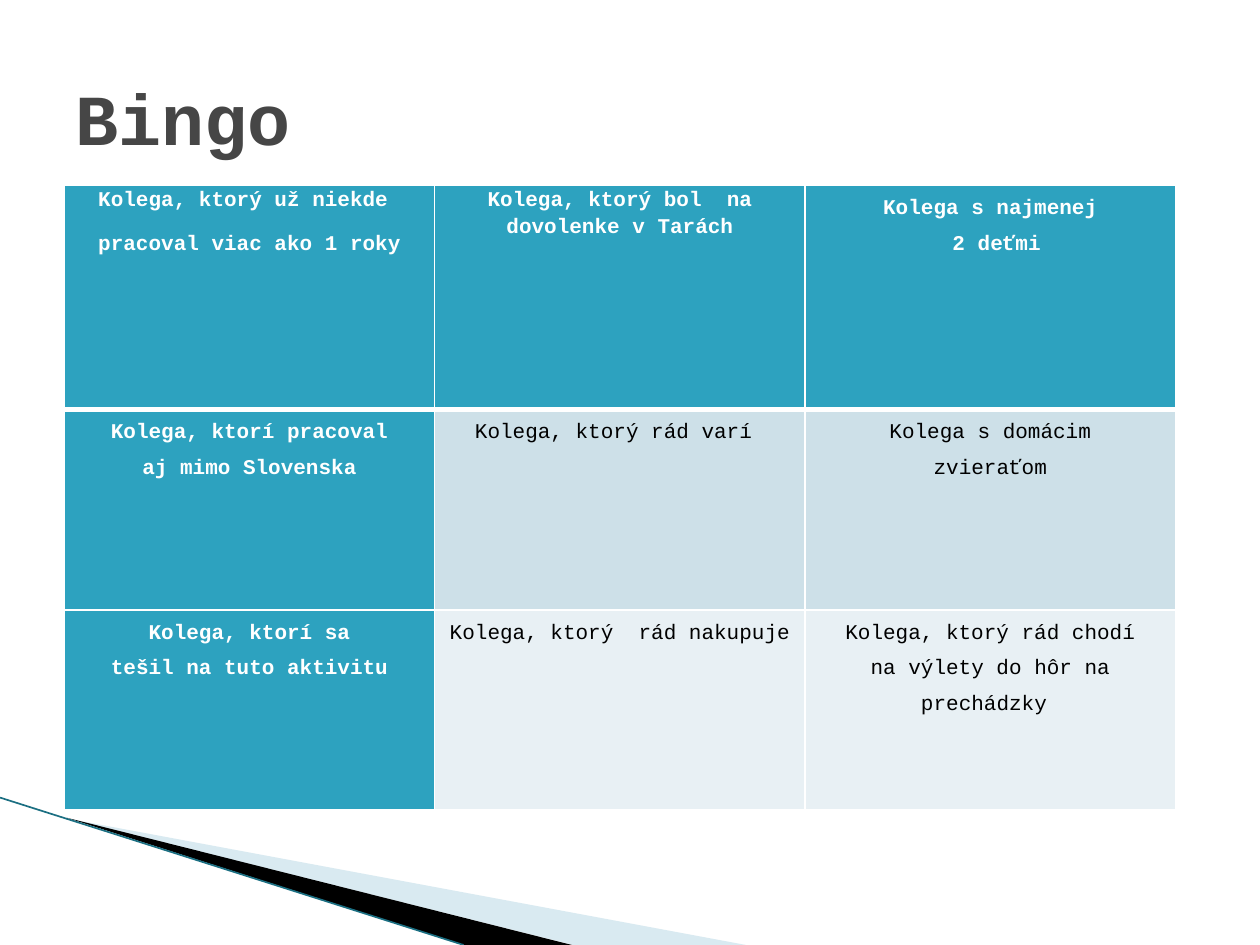
from dataclasses import dataclass

from lxml import etree
from pptx import Presentation
from pptx.dml.color import RGBColor
from pptx.enum.shapes import MSO_CONNECTOR
from pptx.enum.text import MSO_ANCHOR, PP_ALIGN
from pptx.oxml.ns import qn
from pptx.util import Inches, Pt

CENTER = PP_ALIGN.CENTER
LEFT = PP_ALIGN.LEFT
MIDDLE = MSO_ANCHOR.MIDDLE
STRAIGHT = MSO_CONNECTOR.STRAIGHT


@dataclass(frozen=True)
class Theme:
    font: str = "Courier New"
    title_size: float = 41
    cell_size: float = 12
    title: str = "464646"
    white: str = "FFFFFF"
    black: str = "000000"
    teal: str = "2DA2BF"
    dark_teal: str = "1B6F82"
    pale_blue: str = "A0CBDC"
    band_dark: str = "CDE0E8"
    band_light: str = "E8F0F4"


def rgb(color):
    return RGBColor.from_string(color)


def write_text(frame, lines, *, font, size, color, bold=False,
               align=LEFT, spacing=1.0, after=0):
    for index, line in enumerate(lines):
        paragraph = frame.paragraphs[0] if index == 0 else frame.add_paragraph()
        paragraph.alignment = align
        paragraph.line_spacing = spacing
        paragraph.space_after = Pt(after)
        run = paragraph.add_run()
        run.text = line
        run.font.name = font
        run.font.size = Pt(size)
        run.font.bold = bold
        run.font.color.rgb = rgb(color)


class SlideBuilder:
    def __init__(self, slide, theme):
        self.slide = slide
        self.theme = theme

    def wedge(self, points, color, opacity=100):
        corners = [(Inches(x), Inches(y)) for x, y in points]
        builder = self.slide.shapes.build_freeform(*corners[0])
        builder.add_line_segments(corners[1:], close=True)
        shape = builder.convert_to_shape()
        shape.shadow.inherit = False
        shape.line.fill.background()
        shape.fill.solid()
        shape.fill.fore_color.rgb = rgb(color)
        if opacity < 100:
            fill_color = shape.fill._xPr.find(".//" + qn("a:srgbClr"))
            etree.SubElement(fill_color, qn("a:alpha"), val=str(opacity * 1000))

    def line(self, start, end, color, width):
        ends = [Inches(value) for value in (*start, *end)]
        connector = self.slide.shapes.add_connector(STRAIGHT, *ends)
        connector.line.color.rgb = rgb(color)
        connector.line.width = Pt(width)
        etree.SubElement(connector._element.spPr, qn("a:effectLst"))

    def title(self, text, left, top, width, height):
        box = self.slide.shapes.add_textbox(
            Inches(left), Inches(top), Inches(width), Inches(height))
        frame = box.text_frame
        frame.word_wrap = True
        frame.vertical_anchor = MIDDLE
        write_text(frame, [text], font=self.theme.font, size=self.theme.title_size,
                   color=self.theme.title, bold=True)

    def cell_borders(self, cell, widths):
        properties = cell._tc.get_or_add_tcPr()
        for index, (side, width) in enumerate(widths.items()):
            border = etree.Element(qn(f"a:ln{side}"), w=str(Pt(width)))
            fill = etree.SubElement(border, qn("a:solidFill"))
            etree.SubElement(fill, qn("a:srgbClr"), val=self.theme.white)
            properties.insert(index, border)

    def table(self, rows, left, top, column_width, row_heights):
        theme = self.theme
        columns = len(rows[0])
        table = self.slide.shapes.add_table(
            len(rows), columns, Inches(left), Inches(top),
            Inches(column_width * columns), Inches(sum(row_heights))).table
        bands = (theme.teal, theme.band_dark, theme.band_light)
        for column in table.columns:
            column.width = Inches(column_width)
        for row_index, row in enumerate(rows):
            table.rows[row_index].height = Inches(row_heights[row_index])
            for column_index, lines in enumerate(row):
                cell = table.cell(row_index, column_index)
                heading = row_index == 0 or column_index == 0
                tight = row_index == 0 and column_index < 2
                cell.margin_left = cell.margin_right = Inches(0.07)
                cell.margin_top = cell.margin_bottom = 0
                cell.fill.solid()
                cell.fill.fore_color.rgb = rgb(theme.teal if heading else bands[row_index])
                self.cell_borders(cell, {
                    "L": 1, "R": 1,
                    "T": 3 if row_index == 1 else 1,
                    "B": 3 if row_index == 0 else 1})
                write_text(cell.text_frame, lines, font=theme.font, size=theme.cell_size,
                           color=theme.white if heading else theme.black, bold=heading,
                           align=CENTER, spacing=1.15 if tight else 1.5,
                           after=10 if tight else 0)


BINGO_ROWS = [
    [["Kolega, ktorý už niekde ", "pracoval viac ako 1 roky"],
     ["Kolega, ktorý bol  na dovolenke v Tarách"],
     ["Kolega s najmenej", " 2 deťmi"]],
    [["Kolega, ktorí pracoval", "aj mimo Slovenska"],
     ["Kolega, ktorý rád varí "],
     ["Kolega s domácim", "zvieraťom"]],
    [["Kolega, ktorí sa", "tešil na tuto aktivitu"],
     ["Kolega, ktorý  rád nakupuje"],
     ["Kolega, ktorý rád chodí", "na výlety do hôr na prechádzky "]],
]


def main():
    presentation = Presentation()
    presentation.slide_width = Inches(10)
    presentation.slide_height = Inches(7.5)
    theme = Theme()
    slide = presentation.slides.add_slide(presentation.slide_layouts[6])
    builder = SlideBuilder(slide, theme)
    builder.wedge([(0.55, 6.5), (5.92, 7.5), (4.55, 7.5)], theme.pale_blue, opacity=40)
    builder.wedge([(0.53, 6.49), (4.54, 7.5), (3.68, 7.5)], theme.black)
    builder.line((0, 6.33), (3.68, 7.5), theme.dark_teal, 0.95)
    builder.table(BINGO_ROWS, 0.51, 1.47, 2.94, [1.78, 1.59, 1.59])
    builder.title("Bingo", 0.5, 0.3, 9, 1.25)
    presentation.save("out.pptx")


if __name__ == "__main__":
    main()
